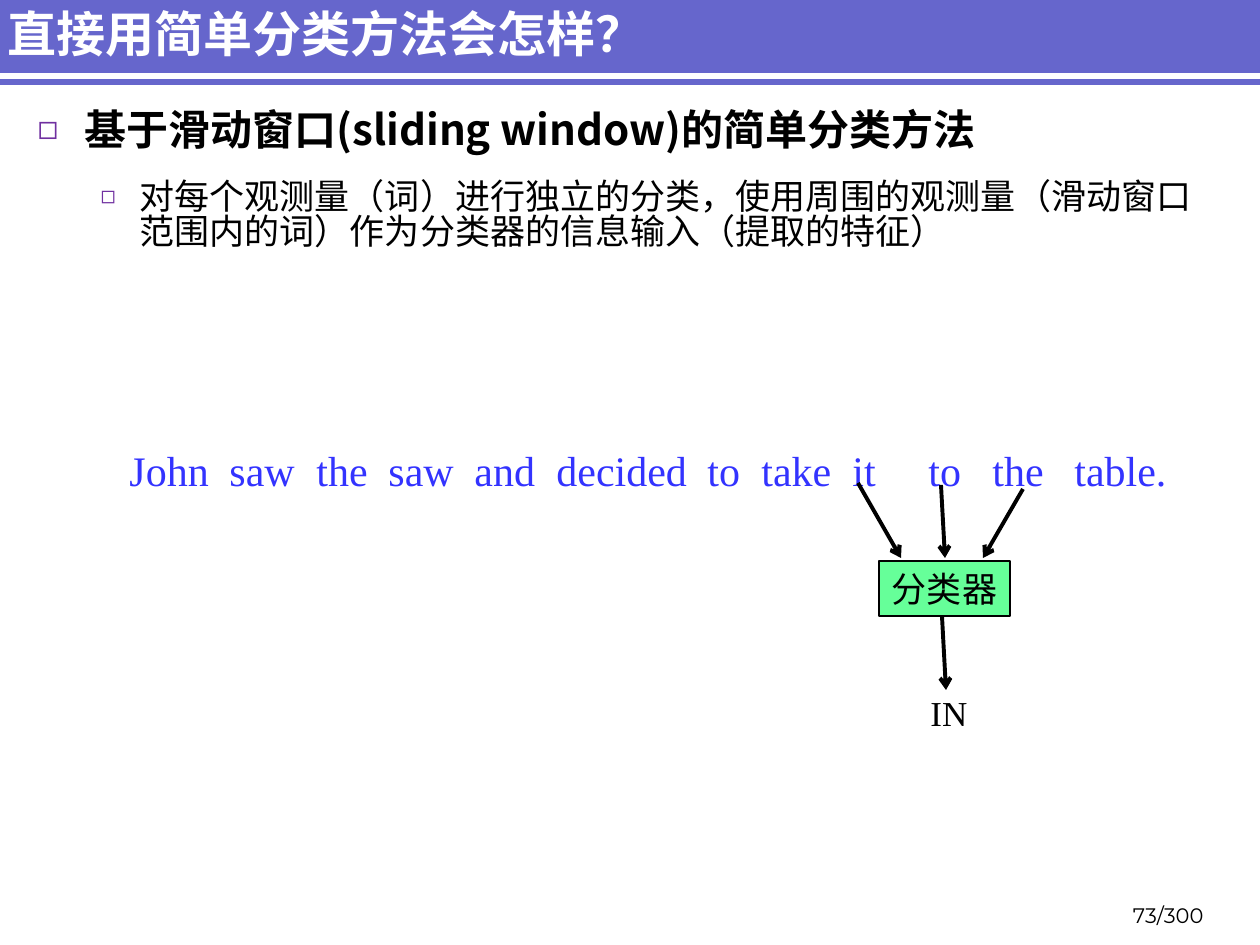
from lxml import etree
from pptx import Presentation, util as u
from pptx.dml.color import RGBColor
from pptx.enum import shapes, text
from pptx.oxml.ns import qn

BAND = RGBColor(0x66, 0x66, 0xCC)
WHITE = RGBColor(0xFF, 0xFF, 0xFF)
BLACK = RGBColor(0, 0, 0)
BLUE = RGBColor(0x33, 0x33, 0xFF)
GREEN = RGBColor(0x66, 0xFF, 0x99)
PURPLE = RGBColor(0x70, 0x30, 0xA0)
CJK, SERIF, SANS = "Noto Sans CJK SC", "Times New Roman", "Montserrat"
ALIGN, ANCHOR = text.PP_ALIGN, text.MSO_ANCHOR


def px(n):
    return u.Emu(round(n * 914400 / 126))


def write(paragraph, words, size=20, font=CJK, color=BLACK, bold=False,
          align=ALIGN.LEFT):
    paragraph.alignment = align
    run = paragraph.add_run()
    run.text = words
    run.font.size = u.Pt(size)
    run.font.bold = bold
    run.font.color.rgb = color
    run.font.name = font
    etree.SubElement(run._r.get_or_add_rPr(), qn("a:ea"), typeface=font)


class SlideBuilder:
    def __init__(self, slide):
        self.slide = slide

    def place(self, shape, left, top, width, height):
        shape.left, shape.top = px(left), px(top)
        shape.width, shape.height = px(width), px(height)
        shape.text_frame.auto_size = text.MSO_AUTO_SIZE.NONE
        return shape.text_frame

    def title(self, words, *box):
        frame = self.place(self.slide.shapes.title, *box)
        frame.margin_left = px(8)
        frame.vertical_anchor = ANCHOR.MIDDLE
        write(frame.paragraphs[0], words, size=28, color=WHITE, bold=True)

    def bullets(self, items, *box):
        frame = self.place(self.slide.placeholders[1], *box)
        for i, item in enumerate(items):
            paragraph = frame.add_paragraph() if i else frame.paragraphs[0]
            self.bullet(paragraph, item["indent"], item["hang"], item["percent"])
            paragraph.level = item["level"]
            paragraph.line_spacing = 0.83
            paragraph.space_before = u.Pt(4 if i else 0)
            paragraph.space_after = u.Pt(item["after"])
            write(paragraph, item["words"], size=item["size"], bold=item["bold"])

    def bullet(self, paragraph, indent, hang, percent):
        props = paragraph._p.get_or_add_pPr()
        props.set("marL", str(px(indent)))
        props.set("indent", str(-px(hang)))
        tint = etree.SubElement(props, qn("a:buClr"))
        etree.SubElement(tint, qn("a:srgbClr"), val=str(PURPLE))
        etree.SubElement(props, qn("a:buSzPct"), val=str(percent * 1000))
        etree.SubElement(props, qn("a:buChar"), char="◻")

    def label(self, words, *box, anchor=ANCHOR.TOP, wrap=False, **style):
        frame = self.place(self.slide.shapes.add_textbox(0, 0, 0, 0), *box)
        frame.word_wrap = wrap
        frame.vertical_anchor = anchor
        write(frame.paragraphs[0], words, **style)
        return frame.paragraphs[0]

    def spaced_words(self, stops, *box, **style):
        """Sentence whose words each start at a tab stop."""
        paragraph = self.label("\t".join(stops), *box, wrap=True, **style)
        props = paragraph._p.get_or_add_pPr()
        tabs = etree.SubElement(props, qn("a:tabLst"))
        for offset in list(stops.values())[1:]:
            etree.SubElement(tabs, qn("a:tab"), pos=str(px(offset)), algn="l")

    def rect(self, fill, *box, line=None, words=None):
        shape = self.slide.shapes.add_shape(
            shapes.MSO_SHAPE.RECTANGLE, *map(px, box))
        shape.shadow.inherit = False
        shape.fill.solid()
        shape.fill.fore_color.rgb = fill
        if line is None:
            shape.line.fill.background()
        else:
            shape.line.color.rgb = line
            shape.line.width = u.Pt(1)
        if words:
            frame = shape.text_frame
            frame.word_wrap = False
            frame.vertical_anchor = ANCHOR.MIDDLE
            write(frame.paragraphs[0], words, align=ALIGN.CENTER)
        return shape

    def line(self, start, end, color=BLACK, width=2.25, arrow=True):
        link = self.slide.shapes.add_connector(
            shapes.MSO_CONNECTOR.STRAIGHT, *map(px, start + end))
        link.line.color.rgb = color
        link.line.width = u.Pt(width)
        if arrow:
            etree.SubElement(link.line._get_or_add_ln(), qn("a:tailEnd"),
                             type="arrow")
        etree.SubElement(link._element.spPr, qn("a:effectLst"))
        return link

    def send_to_back(self, *parts):
        for part in reversed(parts):
            self.slide.shapes._spTree.insert(2, part._element)


def main():
    deck = Presentation()
    deck.slide_width, deck.slide_height = px(1260), px(945)
    page = SlideBuilder(deck.slides.add_slide(deck.slide_layouts[1]))

    # Header band with its white rule, behind the title
    page.send_to_back(
        page.rect(BAND, 0, 0, 1260, 85),
        page.line((0, 76), (1260, 76), color=WHITE, width=3, arrow=False))
    page.title("直接用简单分类方法会怎样？", 0, 6, 1100, 54)

    # Method description
    page.bullets([
        dict(words="基于滑动窗口(sliding window)的简单分类方法", level=0,
             size=24, bold=True, indent=47, hang=47, percent=80, after=12),
        dict(words="对每个观测量（词）进行独立的分类，使用周围的观测量"
                   "（滑动窗口范围内的词）作为分类器的信息输入（提取的特征）",
             level=1, size=20, bold=False, indent=102, hang=39, percent=70,
             after=6),
    ], 25, 106, 1191, 774)

    # Example sentence: each word and its offset
    page.spaced_words(
        {"John": 0, "saw": 100, "the": 187, "saw ": 259, "and": 345,
         "decided": 427, "to": 578, "take": 632, "it": 723, "to ": 799,
         "the ": 863, "table.": 945},
        117, 438, 1090, 64, size=24, font=SERIF, color=BLUE)

    # Window words feed the classifier, which gives a tag
    for start, end in [((858, 483), (901, 558)), ((1023, 489), (983, 558)),
                       ((941, 485), (945, 558)), ((942, 616), (946, 690))]:
        page.line(start, end)
    page.rect(GREEN, 879, 561, 131, 55, line=BLACK, words="分类器")
    page.label("IN", 918, 685, 62, 54, font=SERIF, align=ALIGN.CENTER)

    # Page number
    page.label("73/300", 1085, 890, 131, 44, anchor=ANCHOR.BOTTOM,
               size=12, font=SANS, align=ALIGN.RIGHT)

    deck.save("out.pptx")


if __name__ == "__main__":
    main()
